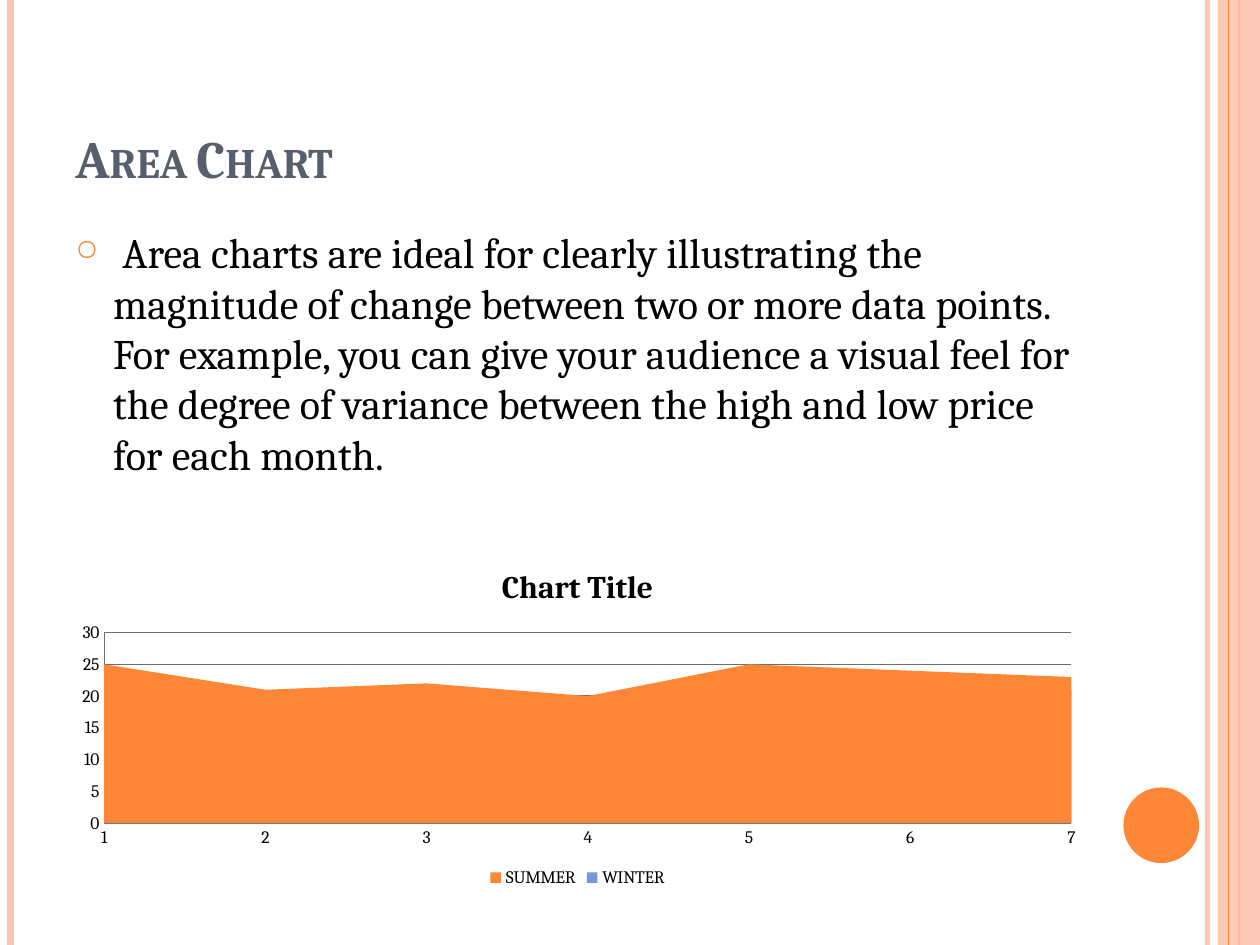
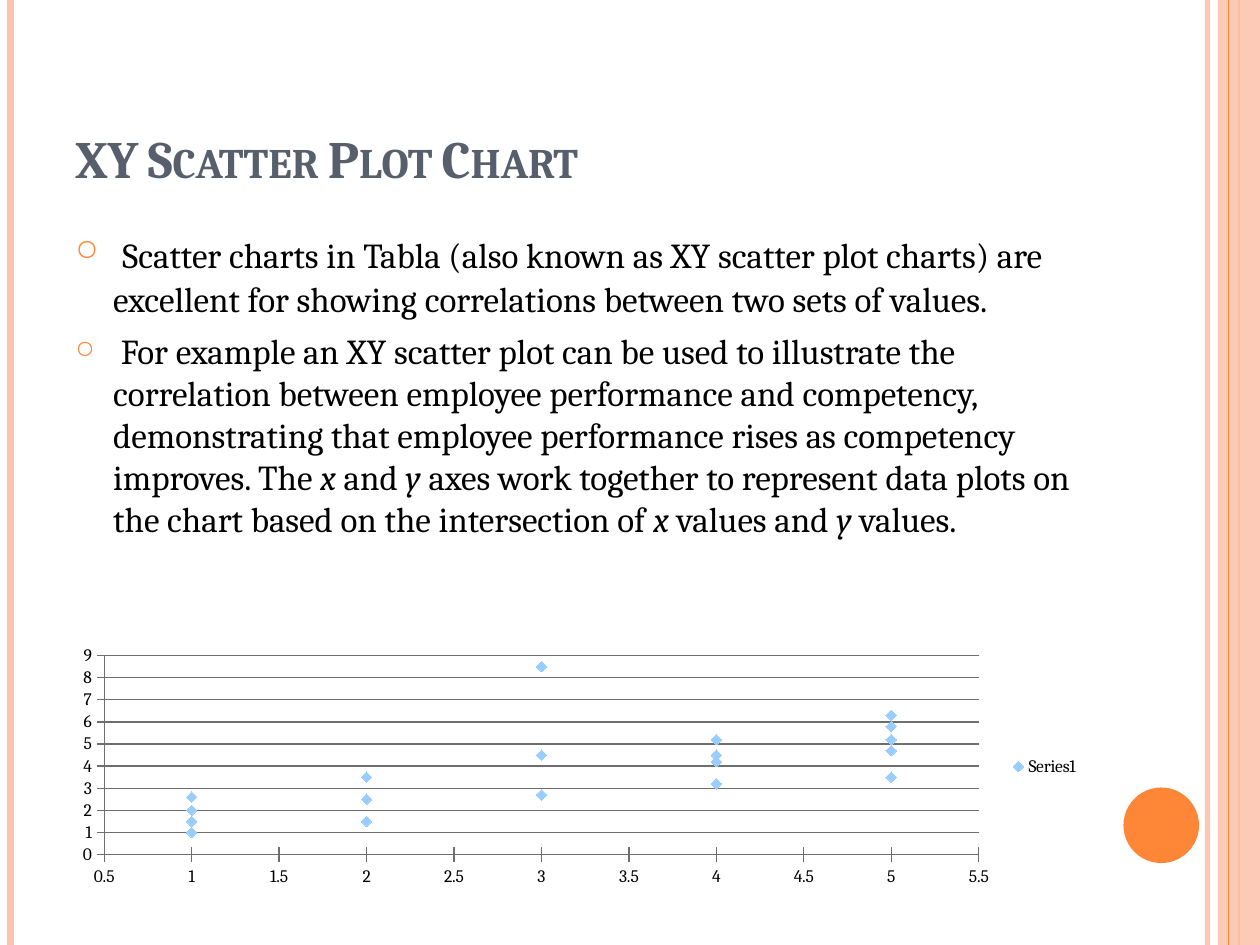
import pptx
import pptx.chart.data
import pptx.dml.color
import pptx.enum.chart
import pptx.enum.shapes
import pptx.enum.text
import pptx.oxml
import pptx.oxml.ns
import pptx.util

COLORS = {
    "accent": "FE8637",
    "pale": "FEC3AE",
    "title": "575F6D",
    "text": "000000",
    "winter": "7598D9",
    "marker": "99CCFF",
    "grid": "6E6E6E",
}
FONT = "Cambria"
COLUMNS, ROWS = 120, 90
LEFT, WIDTH = 6, 98
TEMPERATURES = {
    "SUMMER": ("accent", [25, 21, 22, 20, 25, 24, 23]),
    "WINTER": ("winter", [22, 18, 20, 19, 22, 20, 21]),
}
PERFORMANCE_BY_COMPETENCY = {
    1: [1, 2, 1.5, 2.6],
    2: [1.5, 3.5, 2.5],
    3: [4.5, 8.5, 2.7],
    4: [4.5, 3.2, 4.2, 5.2],
    5: [5.8, 6.3, 4.7, 5.2, 3.5],
}


def rgb(name):
    """Return the named colour."""
    return pptx.dml.color.RGBColor.from_string(COLORS[name])


def add_xml(parent, tag, index=None, **attributes):
    """Add an XML child, at the end unless an index is given."""
    child = pptx.oxml.parse_xml(f"<{tag} {pptx.oxml.ns.nsdecls(tag.split(':')[0])}/>")
    for key, value in attributes.items():
        child.set(key, str(value))
    parent.insert(len(parent) if index is None else index, child)
    return child


class Deck:
    """Hold the style and the current slide."""

    def __init__(self):
        """Start a 4:3 presentation."""
        self.presentation = pptx.Presentation()
        self.presentation.slide_width = pptx.util.Inches(10)
        self.presentation.slide_height = pptx.util.Inches(7.5)
        self.slide = None

    def box(self, left, top, width, height):
        """Turn grid columns and rows into lengths."""
        column = self.presentation.slide_width / COLUMNS
        row = self.presentation.slide_height / ROWS
        return [round(v) for v in (left * column, top * row, width * column, height * row)]

    def fade(self, shape, opacity):
        """Set the opacity, in percent, of a shape's colours."""
        for color in list(shape.element.spPr.iter(pptx.oxml.ns.qn("a:srgbClr"))):
            add_xml(color, "a:alpha", val=opacity * 1000)

    def stripe(self, column, color, weight, opacity=100):
        """Draw a full-height vertical line."""
        x, top, _, height = self.box(column, 0, 0, ROWS)
        line = self.slide.shapes.add_connector(
            pptx.enum.shapes.MSO_CONNECTOR.STRAIGHT, x, top, x, height)
        line.line.color.rgb = rgb(color)
        line.line.width = pptx.util.Pt(weight)
        add_xml(line.element.spPr, "a:effectLst")
        if opacity < 100:
            self.fade(line, opacity)

    def shape(self, kind, color, *place, opacity=100):
        """Draw a filled shape without outline."""
        shape = self.slide.shapes.add_shape(
            getattr(pptx.enum.shapes.MSO_SHAPE, kind), *self.box(*place))
        shape.shadow.inherit = False
        shape.fill.solid()
        shape.fill.fore_color.rgb = rgb(color)
        shape.line.fill.background()
        if opacity < 100:
            self.fade(shape, opacity)

    def text_frame(self, top, height):
        """Add a wrapping text box as wide as the content."""
        frame = self.slide.shapes.add_textbox(*self.box(LEFT, top, WIDTH, height)).text_frame
        frame.word_wrap = True
        return frame

    def run(self, paragraph, text, size, color="text", bold=False, italic=False):
        """Add one run of text."""
        run = paragraph.add_run()
        run.text = text
        run.font.name = FONT
        run.font.size = pptx.util.Pt(size)
        run.font.bold = bold
        run.font.italic = italic
        run.font.color.rgb = rgb(color)
        return run

    def add_slide(self, title):
        """Start a slide with its side bands and title."""
        self.slide = self.presentation.slides.add_slide(self.presentation.slide_layouts[6])
        self.stripe(115, "pale", 3, opacity=93)
        self.stripe(1, "pale", 4.5)
        self.stripe(118, "accent", 1.5)
        self.shape("RECTANGLE", "pale", 116, 0, 4, ROWS, opacity=87)
        self.stripe(117, "accent", 0.75)
        self.shape("OVAL", "accent", 107, 75, 7.2, 7.2)
        frame = self.text_frame(3.6, 15)
        frame.vertical_anchor = pptx.enum.text.MSO_ANCHOR.BOTTOM
        heading = self.run(frame.paragraphs[0], title, 30, "title", bold=True)
        heading.font._element.set("cap", "small")

    def bullets(self, *items):
        """Write bulleted paragraphs of (text, size, italic) runs."""
        frame = self.text_frame(21, 64)
        for index, runs in enumerate(items):
            paragraph = frame.add_paragraph() if index else frame.paragraphs[0]
            paragraph.space_before = pptx.util.Pt(6)
            indent = pptx.util.Inches(0.3)
            properties = paragraph._p.get_or_add_pPr()
            properties.set("marL", str(indent))
            properties.set("indent", str(-indent))
            add_xml(add_xml(properties, "a:buClr"), "a:srgbClr", val=COLORS["accent"])
            add_xml(properties, "a:buSzPct", val=70000)
            add_xml(properties, "a:buChar", char="○")
            for text, size, italic in runs:
                self.run(paragraph, text, size, italic=italic)

    def chart(self, kind, data, top, height, legend, tick, plot_area):
        """Add a chart whose plot area is given as shares of its frame."""
        chart = self.slide.shapes.add_chart(
            getattr(pptx.enum.chart.XL_CHART_TYPE, kind),
            *self.box(LEFT, top, WIDTH, height), data).chart
        chart.font.name = FONT
        chart.font.size = pptx.util.Pt(10)
        chart.font.color.rgb = rgb("text")
        chart.has_title = False
        chart.has_legend = True
        chart.legend.position = getattr(pptx.enum.chart.XL_LEGEND_POSITION, legend)
        chart.legend.include_in_layout = False
        chart.plots[0].vary_by_categories = False
        chart.category_axis.has_major_gridlines = False
        chart.value_axis.has_major_gridlines = True
        for axis in (chart.category_axis, chart.value_axis):
            axis.major_tick_mark = getattr(pptx.enum.chart.XL_TICK_MARK, tick)
            axis.minor_tick_mark = pptx.enum.chart.XL_TICK_MARK.NONE
        for lines in (chart.category_axis, chart.value_axis, chart.value_axis.major_gridlines):
            lines.format.line.color.rgb = rgb("grid")
            lines.format.line.width = pptx.util.Pt(0.75)
        area = chart._chartSpace.chart.plotArea
        for layout in area.findall(pptx.oxml.ns.qn("c:layout")):
            area.remove(layout)
        manual = add_xml(add_xml(area, "c:layout", 0), "c:manualLayout")
        add_xml(manual, "c:layoutTarget", val="inner")
        for mode in ("xMode", "yMode"):
            add_xml(manual, f"c:{mode}", val="edge")
        for side, share in zip("xywh", plot_area):
            add_xml(manual, f"c:{side}", val=share)
        return chart

    def scale(self, axis, low, high, step):
        """Set the range and step of an axis."""
        axis.minimum_scale, axis.maximum_scale, axis.major_unit = low, high, step


def area_slide(deck):
    """Build the area chart slide."""
    deck.add_slide("Area Chart")
    deck.bullets([(
        " Area charts are ideal for clearly illustrating the magnitude of change between two "
        "or more data points. For example, you can give your audience a visual feel for the "
        "degree of variance between the high and low price for each month.", 24, False)])
    data = pptx.chart.data.CategoryChartData()
    data.categories = [str(number) for number in range(1, 8)]
    for season, (_, values) in TEMPERATURES.items():
        data.add_series(season, values)
    chart = deck.chart("AREA", data, 52, 33, "BOTTOM", "NONE", (0.04, 0.25, 0.94, 0.55))
    chart.has_title = True
    deck.run(chart.chart_title.text_frame.paragraphs[0], "Chart Title", 18, bold=True)
    chart.chart_title.include_in_layout = False
    deck.scale(chart.value_axis, 0, 30, 5)
    chart.value_axis._element.find(pptx.oxml.ns.qn("c:crossBetween")).set("val", "midCat")
    for series, (color, _) in zip(chart.plots[0].series, TEMPERATURES.values()):
        series.format.fill.solid()
        series.format.fill.fore_color.rgb = rgb(color)


def scatter_slide(deck):
    """Build the scatter chart slide."""
    deck.add_slide("XY Scatter Plot Chart")
    deck.bullets(
        [(" ", 24, False),
         ("Scatter charts in Tabla (also known as XY scatter plot charts) are excellent for "
          "showing correlations between two sets of values.", 20, False)],
        [(text, 20, text in ("x", "y")) for text in (
            " For example an XY scatter plot can be used to illustrate the correlation between "
            "employee performance and competency, demonstrating that employee performance "
            "rises as competency improves. The ", "x", " and ", "y",
            " axes work together to represent data plots on the chart based on the "
            "intersection of ", "x", " values and ", "y", " values.")])
    data = pptx.chart.data.XyChartData()
    points = data.add_series("Series1")
    for competency, performances in PERFORMANCE_BY_COMPETENCY.items():
        for performance in performances:
            points.add_data_point(competency, performance)
    chart = deck.chart("XY_SCATTER", data, 61, 24, "RIGHT", "CROSS", (0.04, 0.06, 0.85, 0.79))
    deck.scale(chart.category_axis, 0.5, 5.5, 0.5)
    deck.scale(chart.value_axis, 0, 9, 1)
    for axis in (chart.category_axis, chart.value_axis):
        axis.tick_labels.number_format = "General"
        axis.tick_labels.number_format_is_linked = False
    series = chart.plots[0].series[0]
    series.format.line.fill.background()
    series.marker.style = pptx.enum.chart.XL_MARKER_STYLE.DIAMOND
    series.marker.size = 6
    series.marker.format.fill.solid()
    series.marker.format.fill.fore_color.rgb = rgb("marker")
    series.marker.format.line.fill.background()


def main():
    """Build and save the slides."""
    deck = Deck()
    area_slide(deck)
    scatter_slide(deck)
    deck.presentation.save("out.pptx")


if __name__ == "__main__":
    main()
